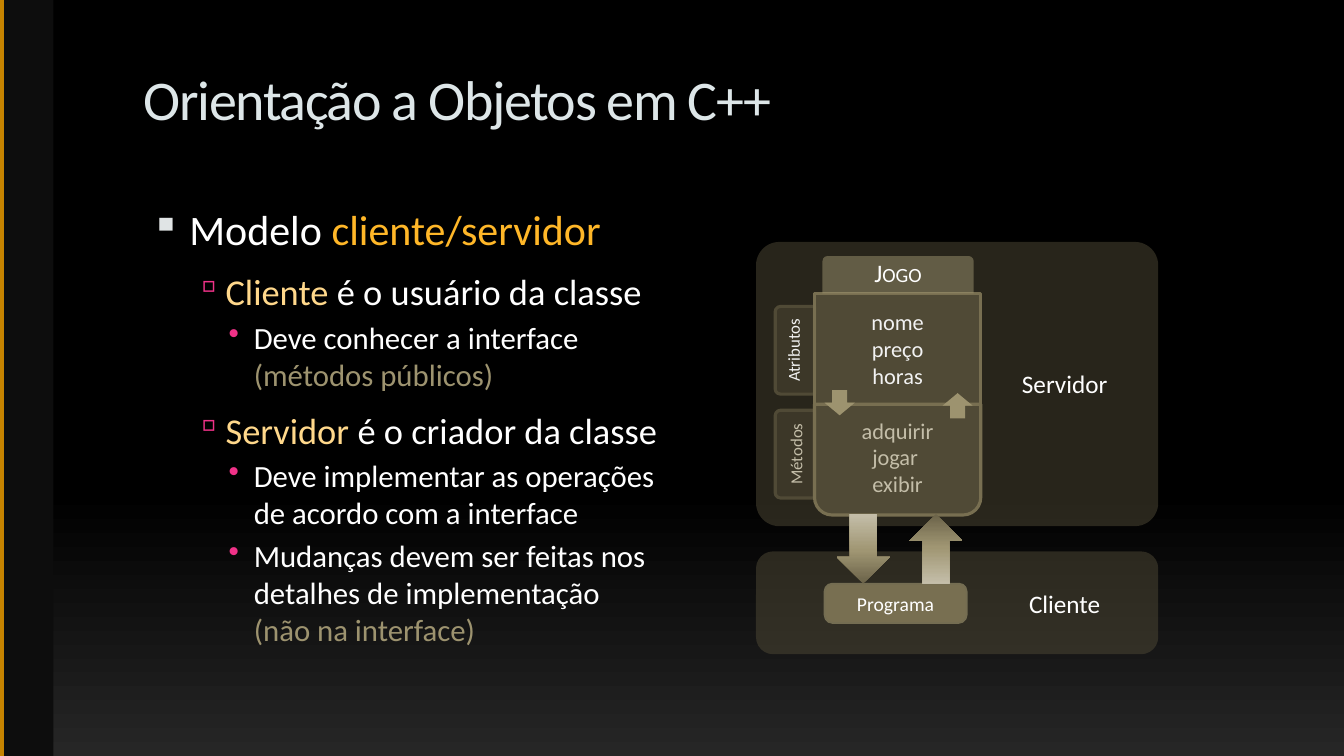
import pptx
import pptx.util
import pptx.dml.color
import pptx.enum.shapes
import pptx.enum.text
import pptx.oxml
import pptx.oxml.ns

SHAPE = pptx.enum.shapes.MSO_SHAPE
ANCHOR = pptx.enum.text.MSO_ANCHOR
ALIGN = pptx.enum.text.PP_ALIGN
FONT = "Calibri"
CELL = 0.1
COLS, ROWS = 133.33, 75

COLOURS = {
    "black": "000000", "charcoal": "262626", "side": "0D0D0D", "edge": "C58300",
    "title": "DDE6E8", "white": "FFFFFF", "orange": "FFB728", "sand": "FFD88B",
    "olive": "9D936F", "square": "E0E4E5", "pink": "F03288", "panel": "504A36",
    "box": "786F51", "rim": "746D52", "light": "F2F2F2", "faded": "C4BEA9",
    "arrow_dark": "6B6349", "arrow_mid": "A09673",
}
LEVELS = [
    dict(left=0.45, hang=0.38, size=30, before=7, mark="▪", mark_colour="square", mark_size=95),
    dict(left=0.81, hang=0.31, size=26, before=5, mark="▫", mark_colour="pink", mark_size=90),
    dict(left=1.09, hang=0.25, size=22, before=4, mark="•", mark_colour="pink", mark_size=100),
]
TOPICS = [
    (0, 6, [("Modelo ", "white"), ("cliente/servidor", "orange")]),
    (1, 0, [("Cliente", "sand"), (" é o usuário da classe", "white")]),
    (2, 6, [("Deve conhecer a interface\n", "white"), ("(métodos públicos)", "olive")]),
    (1, 0, [("Servidor", "sand"), (" é o criador da classe", "white")]),
    (2, 0, [("Deve implementar as operações\nde acordo com a interface", "white")]),
    (2, 0, [("Mudanças devem ser feitas nos\ndetalhes de implementação\n", "white"),
            ("(não na interface)", "olive")]),
]
ARROW_STOPS = [(0, "arrow_dark"), (48, "arrow_mid"), (100, "faded")]


def grid(*cells):
    return [pptx.util.Inches(n * CELL) for n in cells]


def rgb(name):
    return pptx.dml.color.RGBColor.from_string(COLOURS[name])


def xml(tag, **attrs):
    el = pptx.oxml.parse_xml(f"<a:{tag} {pptx.oxml.ns.nsdecls('a')}/>")
    for key, value in attrs.items():
        el.set(key, str(value))
    return el


def fill_gradient(fill, element, stops, angle):
    fill.gradient()
    fill.gradient_angle = angle
    stop_list = element.find(".//" + pptx.oxml.ns.qn("a:gsLst"))
    for gs in list(stop_list):
        stop_list.remove(gs)
    for position, colour in stops:
        gs = xml("gs", pos=position * 1000)
        gs.append(xml("srgbClr", val=COLOURS[colour]))
        stop_list.append(gs)


def add_bullet(p, level):
    pPr = p._p.get_or_add_pPr()
    pPr.set("marL", str(pptx.util.Inches(level["left"])))
    pPr.set("indent", str(-pptx.util.Inches(level["hang"])))
    colour = xml("buClr")
    colour.append(xml("srgbClr", val=COLOURS[level["mark_colour"]]))
    pPr.append(colour)
    pPr.append(xml("buSzPct", val=level["mark_size"] * 1000))
    pPr.append(xml("buChar", char=level["mark"]))


def write(p, text, size=18, colour="white", align=None, **run_attrs):
    if align is not None:
        p.alignment = align
    for i, line in enumerate(text.split("\n")):
        if i:
            p.add_line_break()
        if not line:
            continue
        r = p.add_run()
        r.text = line
        r.font.name, r.font.size = FONT, pptx.util.Pt(size)
        r.font.color.rgb = rgb(colour)
        for key, value in run_attrs.items():
            r._r.get_or_add_rPr().set(key, value)


def next_paragraph(tf, i):
    return tf.add_paragraph() if i else tf.paragraphs[0]


def add_text_box(shapes, at, wrap=True, top=0.05):
    tf = shapes.add_textbox(*grid(*at)).text_frame
    tf.word_wrap = wrap
    tf.margin_top = pptx.util.Inches(top)
    if not wrap:
        tf.auto_size = pptx.enum.text.MSO_AUTO_SIZE.SHAPE_TO_FIT_TEXT
    return tf


def add_block(shapes, kind, at, fill=None, alpha=None, adj=(), rot=0, line=None, width=2.25):
    sp = shapes.add_shape(kind, *grid(*at))
    sp.shadow.inherit = False
    sp.rotation = rot
    for i, value in enumerate(adj):
        sp.adjustments[i] = value
    if fill:
        sp.fill.solid()
        sp.fill.fore_color.rgb = rgb(fill)
        if alpha:
            clr = sp.element.spPr.find(".//" + pptx.oxml.ns.qn("a:srgbClr"))
            clr.append(xml("alpha", val=alpha * 1000))
    else:
        fill_gradient(sp.fill, sp.element, ARROW_STOPS, 90)
    if line:
        sp.line.color.rgb = rgb(line)
        sp.line.width = pptx.util.Pt(width)
    else:
        sp.line.fill.background()
    return sp


def label(sp, lines, anchor=ANCHOR.MIDDLE, insets=(0, 0, 0, 0), **style):
    tf = sp.text_frame
    tf.word_wrap = True
    tf.vertical_anchor = anchor
    tf.margin_left, tf.margin_top, tf.margin_right, tf.margin_bottom = map(pptx.util.Inches, insets)
    for i, text in enumerate(lines):
        write(next_paragraph(tf, i), text, align=ALIGN.CENTER, **style)


def add_frame(s):
    fill_gradient(s.background.fill, s.element, [(0, "black"), (65, "black"), (100, "charcoal")], 270)
    add_block(s.shapes, SHAPE.RECTANGLE, (0, 0, 5.3, ROWS), "side")
    edge = s.shapes.add_connector(pptx.enum.shapes.MSO_CONNECTOR.STRAIGHT, *grid(0.2, 0, 0.2, ROWS))
    edge.line.color.rgb = rgb("edge")
    edge.line.width = pptx.util.Pt(3)
    edge._element.spPr.append(xml("effectLst"))


def add_topics(s):
    tf = add_text_box(s.shapes, (13.3, 19.5, 113.3, 50), top=0.07)
    for i, (depth, after, runs) in enumerate(TOPICS):
        p, level = next_paragraph(tf, i), LEVELS[depth]
        p.level = depth
        add_bullet(p, level)
        p.space_before = pptx.util.Pt(level["before"] if i else 0)
        p.space_after = pptx.util.Pt(after)
        for text, colour in runs:
            write(p, text, size=level["size"], colour=colour)


def add_diagram(s):
    shapes = s.shapes.add_group_shape().shapes
    tab = SHAPE.ROUND_2_SAME_RECTANGLE
    add_block(shapes, SHAPE.ROUNDED_RECTANGLE, (75, 24, 39.9, 28.2), "panel", 50, adj=(0.082,))
    add_block(shapes, SHAPE.ROUNDED_RECTANGLE, (75, 54.7, 39.9, 10.2), "panel", 50)
    tabs = [("Atributos", 32.8, "light", (0.1, 0, 0.1, 0.05)),
            ("Métodos", 43.1, "faded", (0, 0, 0, 0))]
    for name, top, colour, insets in tabs:
        sp = add_block(shapes, tab, (74.5, top, 8.7, 3.9), "panel", 50, (0.136, 0), 270, "panel")
        label(sp, [name], insets=insets, size=12, colour=colour)
    members = [(["nome", "preço", "horas"], 0, "light"),
               (["adquirir", "jogar ", "exibir"], 0.16, "faded")]
    for row, (names, corner, colour) in enumerate(members):
        sp = add_block(shapes, tab, (80.8, 29.1 + 11 * row, 16.5, 11), "box", 50, (0, corner), line="box")
        label(sp, names, size=16, colour=colour)
    header = add_block(shapes, tab, (81.6, 25.4, 15, 3.7), "olive", 50, (0.136, 0))
    label(header, ["Jogo"], anchor=ANCHOR.TOP, cap="small")
    for left, top, rot in [(81.8, 38.7, 0), (93.5, 39, 180)]:
        add_block(shapes, SHAPE.DOWN_ARROW, (left, top, 3, 2.5), "olive", rot=rot)
    program = add_block(shapes, tab, (81.8, 57.9, 14.1, 3.9), "box", adj=(0.199, 0.207),
                        line="rim", width=1.25)
    label(program, ["Programa"], size=14)
    for left, rot in [(83, 0), (90.2, 180)]:
        add_block(shapes, SHAPE.DOWN_ARROW, (left, 51, 5.3, 6.9), rot=rot)
    for text, at in [("Cliente", (101.1, 57.9, 9.2, 4)), ("Servidor", (100.4, 36.1, 10.6, 4))]:
        write(add_text_box(shapes, at, wrap=False).paragraphs[0], text)


def main():
    prs = pptx.Presentation()
    prs.slide_width, prs.slide_height = grid(COLS, ROWS)
    s = prs.slides.add_slide(prs.slide_layouts[6])
    add_frame(s)
    title = add_text_box(s.shapes, (13.3, 5.6, 95.1, 10), top=0.08)
    write(title.paragraphs[0], "Orientação a Objetos em C++", size=40, colour="title", spc="-100")
    add_topics(s)
    add_diagram(s)
    prs.save("out.pptx")


if __name__ == "__main__":
    main()
